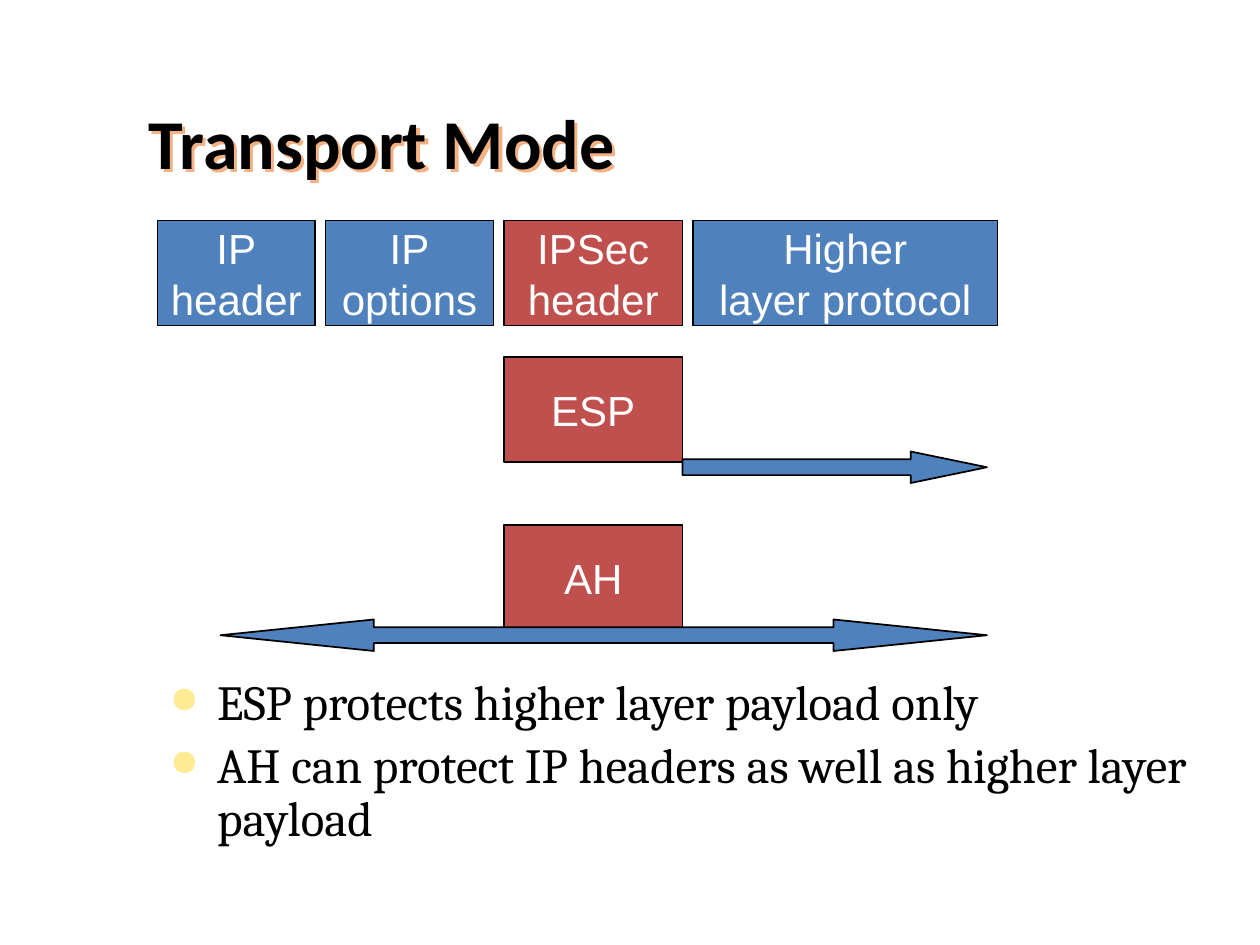
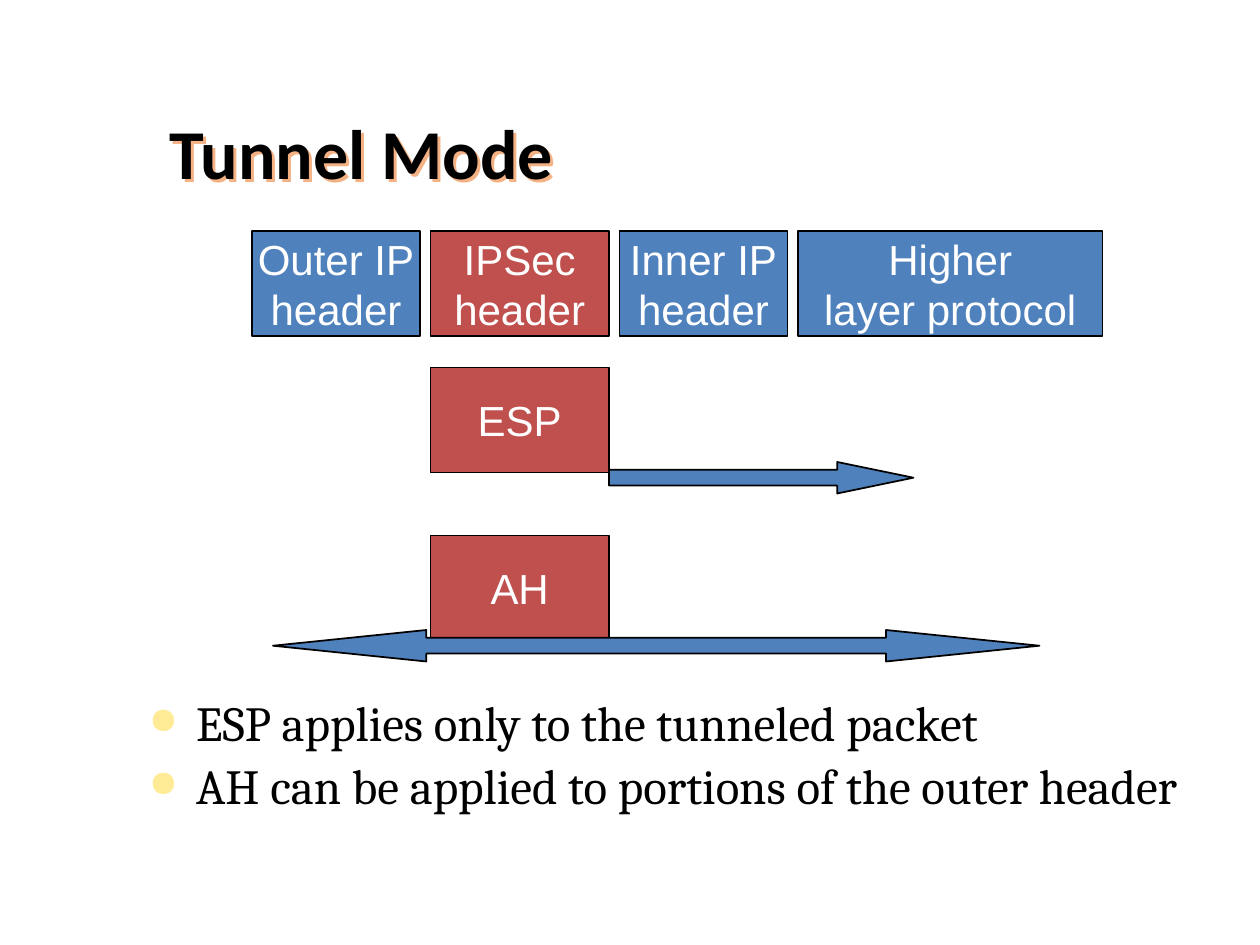
from lxml.etree import SubElement
from pptx import Presentation
from pptx.dml.color import RGBColor
from pptx.enum.shapes import MSO_SHAPE
from pptx.enum.text import MSO_ANCHOR, PP_ALIGN
from pptx.oxml.ns import qn
from pptx.util import Pt

HEX = {"ink": "000000", "paper": "FFFFFF", "blue": "4F81BD", "red": "C0504D",
       "glow": "F4B183", "dot": "FFEB95"}

# Each field: label lines, width, colour
IPSEC = (["IPSec", "header"], 102, "red")
HIGHER = (["Higher", "layer protocol"], 174, "blue")

SLIDES = [
    dict(title="Transport Mode", head=(78, 18, 570, 90),
         row=(90, 126), both=126,
         fields=[(["IP", "header"], 90, "blue"),
                 (["IP", "options"], 96, "blue"), IPSEC, HIGHER],
         notes=["ESP protects higher layer payload only",
                "AH can protect IP headers as well as higher layer payload"],
         body=(90, 384, 612, 120)),
    dict(title="Tunnel Mode", head=(90, 24, 612, 90),
         row=(144, 132), both=156,
         fields=[(["Outer IP", "header"], 96, "blue"), IPSEC,
                 (["Inner IP", "header"], 96, "blue"), HIGHER],
         notes=["ESP applies only to the tunneled packet",
                "AH can be applied to portions of the outer header"],
         body=(78, 396, 612, 126)),
]

TALL, GAP = 60, 6
PARTS = [("ESP", 78), ("AH", 174)]     # label, drop below the row's top
DROP = 54                              # arrow below its part's top
THICK, ONE, BOTH = 18, 174, 438        # arrow height and lengths


def color(name):
    return RGBColor.from_string(HEX[name])


def add_dot(para):
    props = para._p.get_or_add_pPr()
    props.set("marL", str(Pt(27)))
    props.set("indent", str(Pt(-27)))
    tint = SubElement(props, qn("a:buClr"))
    SubElement(tint, qn("a:srgbClr"), val=HEX["dot"])
    SubElement(props, qn("a:buSzPct"), val="75000")
    SubElement(props, qn("a:buChar"), char="●")


def add_glow(box):
    """Give the text of an unfilled box a coloured shadow."""
    group = SubElement(box._element.spPr, qn("a:effectLst"))
    cast = SubElement(group, qn("a:outerShdw"), dist=str(Pt(2.5)),
                      dir="2700000", algn="ctr", rotWithShape="0")
    SubElement(cast, qn("a:srgbClr"), val=HEX["glow"])


def write(shape, lines, font="Arial", size=24, ink="paper", bold=False,
          align=PP_ALIGN.LEFT, anchor=MSO_ANCHOR.TOP, wrap=True,
          pitch=1.0, gap=0, dots=False):
    frame = shape.text_frame
    frame.word_wrap = wrap
    frame.vertical_anchor = anchor
    for i, line in enumerate(lines):
        para = frame.add_paragraph() if i else frame.paragraphs[0]
        if dots:
            add_dot(para)
        para.alignment = align
        para.line_spacing = pitch
        para.space_before = Pt(gap if i else 0)
        run = para.add_run()
        run.text = line
        run.font.name, run.font.size = font, Pt(size)
        run.font.bold = bold
        run.font.color.rgb = color(ink)


def add_text(slide, place, lines, **form):
    box = slide.shapes.add_textbox(*map(Pt, place))
    write(box, lines, **form)
    return box


def add_form(slide, kind, place, fill):
    shape = slide.shapes.add_shape(kind, *map(Pt, place))
    shape.shadow.inherit = False
    shape.fill.solid()
    shape.fill.fore_color.rgb = color(fill)
    shape.line.color.rgb = color("ink")
    shape.line.width = Pt(1)
    return shape


def add_block(slide, lines, left, top, wide, fill):
    block = add_form(slide, MSO_SHAPE.RECTANGLE, (left, top, wide, TALL), fill)
    write(block, lines, align=PP_ALIGN.CENTER, anchor=MSO_ANCHOR.MIDDLE,
          wrap=False)


def add_arrow(slide, kind, left, top, wide, point):
    arrow = add_form(slide, kind, (left, top, wide, THICK), "blue")
    arrow.adjustments[0] = 0.5
    arrow.adjustments[1] = point


def draw(slide, data):
    title = add_text(slide, data["head"], [data["title"]], font="Calibri",
                     size=40, ink="ink", bold=True, pitch=0.8,
                     anchor=MSO_ANCHOR.BOTTOM)
    add_glow(title)
    add_text(slide, data["body"], data["notes"], font="Cambria", size=28,
             ink="ink", pitch=0.9, gap=5.6, dots=True)

    left, top = data["row"]
    for field in data["fields"]:
        lines, wide, fill = field
        add_block(slide, lines, left, top, wide, fill)
        if field is IPSEC:
            start, end = left, left + wide
        left += wide + GAP

    for name, drop in PARTS:
        add_block(slide, [name], start, top + drop, end - start, "red")
    low, deep = [top + drop + DROP for _, drop in PARTS]
    add_arrow(slide, MSO_SHAPE.RIGHT_ARROW, end, low, ONE, 2.42)
    add_arrow(slide, MSO_SHAPE.LEFT_RIGHT_ARROW, data["both"], deep, BOTH,
              4.87)


def main():
    deck = Presentation()
    deck.slide_width, deck.slide_height = Pt(720), Pt(540)
    for data in SLIDES:
        draw(deck.slides.add_slide(deck.slide_layouts[6]), data)
    deck.save("out.pptx")


if __name__ == "__main__":
    main()
